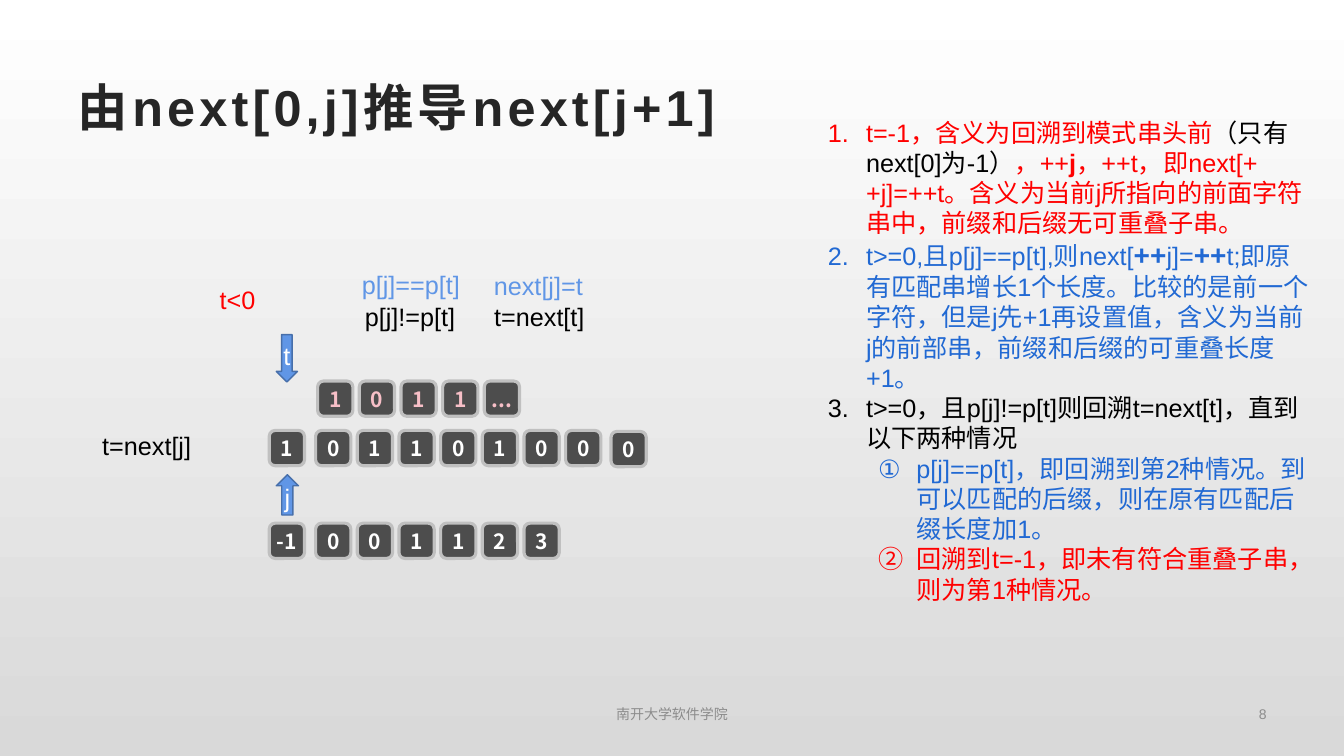
from lxml.etree import SubElement
from pptx import Presentation
from pptx.dml.color import RGBColor
from pptx.enum.shapes import MSO_SHAPE as Preset
from pptx.enum.text import MSO_ANCHOR as Anchor, MSO_AUTO_SIZE as AutoSize, PP_ALIGN as Align
from pptx.oxml.ns import qn
from pptx.util import Inches, Pt

BLACK, WHITE, RED = "000000", "FFFFFF", "FF0000"
LIGHT_BLUE, DEEP_BLUE, PINK, GREY = "6096E6", "2169D3", "F7BFC7", "8C8C8C"
CELL_SIZE, CELL_STEP = 0.35, 2.48 / 6

CASES = [
    ("arabicPeriod", 0, [
        ("t=-1，含义为回溯到模式串头前", RED, 18, False),
        ("（只有next[0]为-1）", BLACK, 18, False),
        ("，++", RED, 18, False),
        ("j", RED, 18, True),
        ("，++t，即next[++j]=++t。含义为当前j所指向的前面字符串中，前缀和后缀无可重叠子串。", RED, 18, False),
    ]),
    ("arabicPeriod", 0, [
        ("t>=0,且p[j]==p[t],则next[", DEEP_BLUE, 18, False),
        ("++", DEEP_BLUE, 20, True),
        ("j]=", DEEP_BLUE, 18, False),
        ("++", DEEP_BLUE, 20, True),
        ("t;即原有匹配串增长1个长度。比较的是前一个字符，但是j先+1再设置值，"
         "含义为当前j的前部串，前缀和后缀的可重叠长度+1。", DEEP_BLUE, 18, False),
    ]),
    ("arabicPeriod", 0, [("t>=0，且p[j]!=p[t]则回溯t=next[t]，直到以下两种情况", BLACK, 18, False)]),
    ("circleNumDbPlain", 1, [
        ("p[j]==p[t]，即回溯到第2种情况。到可以匹配的后缀，则在原有匹配后缀长度加1。", DEEP_BLUE, 18, False)]),
    ("circleNumDbPlain", 1, [("回溯到t=-1，即未有符合重叠子串，则为第1种情况。", RED, 18, False)]),
]


def color(hex_value):
    """Turn a hex string into a colour."""
    return RGBColor.from_string(hex_value)


def style_run(run, hex_value, size, bold=False, font_name="Arial"):
    """Set the font of one run."""
    font = run.font
    font.name, font.size, font.bold = font_name, Pt(size), bold
    font.color.rgb = color(hex_value)


def place(shape, left, top, width, height):
    """Move and size a shape, in inches."""
    shape.left, shape.top = Inches(left), Inches(top)
    shape.width, shape.height = Inches(width), Inches(height)


def set_background(slide):
    """Fill the slide from white down to light grey."""
    fill = slide.background.fill
    fill.gradient()
    fill.gradient_angle = 270
    for stop, position, hex_value in zip(fill.gradient_stops, (0, 1), (WHITE, "D9D9D9")):
        stop.position = position
        stop.color.rgb = color(hex_value)


def set_title(slide, text):
    """Write the spaced, bold title."""
    title = slide.shapes.title
    place(title, 0.67, 0.67, 12, 0.77)
    frame = title.text_frame
    frame.text = text
    frame.vertical_anchor = Anchor.MIDDLE
    frame.auto_size = AutoSize.NONE
    paragraph = frame.paragraphs[0]
    paragraph.alignment = Align.LEFT
    for run in paragraph.runs:
        style_run(run, "262626", 36, True)
        run.font._element.set("spc", "300")


def set_numbering(paragraph, scheme, level):
    """Give a paragraph a hanging automatic number."""
    paragraph.level = level
    properties = paragraph._p.get_or_add_pPr()
    properties.set("marL", str(Inches(0.38 + 0.5 * level)))
    properties.set("indent", str(Inches(-0.38)))
    SubElement(properties, qn("a:buAutoNum"), type=scheme)
    paragraph.space_before = Pt(0)
    paragraph.alignment = Align.LEFT


def add_cases(slide, cases):
    """Write the numbered cases in the body placeholder."""
    body = slide.placeholders[1]
    place(body, 8.11, 1.11, 4.97, 4.98)
    frame = body.text_frame
    frame.auto_size = AutoSize.SHAPE_TO_FIT_TEXT
    for index, (scheme, level, pieces) in enumerate(cases):
        paragraph = frame.add_paragraph() if index else frame.paragraphs[0]
        set_numbering(paragraph, scheme, level)
        for text, hex_value, size, bold in pieces:
            run = paragraph.add_run()
            run.text = text
            style_run(run, hex_value, size, bold)


def add_label(slide, text, box, hex_value, size=18, align=Align.CENTER, wrap=True, anchor=Anchor.TOP):
    """Add a one-line text box."""
    label = slide.shapes.add_textbox(*map(Inches, box))
    frame = label.text_frame
    frame.text = text
    frame.word_wrap = wrap
    frame.vertical_anchor = anchor
    paragraph = frame.paragraphs[0]
    paragraph.alignment = align
    style_run(paragraph.runs[0], hex_value, size)


def add_filled_shape(shapes, preset, box, fill, line, line_width, text):
    """Add a preset shape with centred text."""
    shape = shapes.add_shape(preset, *map(Inches, box))
    shape.shadow.inherit = False
    shape.fill.solid()
    shape.fill.fore_color.rgb = color(fill)
    shape.line.color.rgb = color(line)
    shape.line.width = Pt(line_width)
    frame = shape.text_frame
    frame.text = text
    frame.vertical_anchor = Anchor.MIDDLE
    frame.paragraphs[0].alignment = Align.CENTER
    return shape


def add_cell(shapes, text, left, top, hex_value=WHITE):
    """Add one rounded cell of an array."""
    box = (left, top, CELL_SIZE, CELL_SIZE)
    cell = add_filled_shape(shapes, Preset.ROUNDED_RECTANGLE, box, "4D4D4D", "C0C0C0", 2.25, text)
    frame = cell.text_frame
    frame.word_wrap = False
    frame.margin_left = frame.margin_right = frame.margin_top = frame.margin_bottom = 0
    style_run(frame.paragraphs[0].runs[0], hex_value, 15, True, "Noto Sans CJK SC")


def add_row(shapes, values, left, top, hex_value=WHITE):
    """Add evenly spaced cells."""
    for column, value in enumerate(values):
        add_cell(shapes, value, left + column * CELL_STEP, top, hex_value)


def add_pointer(slide, preset, text, box):
    """Add a blue arrow naming an index."""
    arrow = add_filled_shape(slide.shapes, preset, box, LIGHT_BLUE, "476FAA", 1, text)
    style_run(arrow.text_frame.paragraphs[0].runs[0], WHITE, 18)


def main():
    """Build and save the slide."""
    presentation = Presentation()
    presentation.slide_width, presentation.slide_height = Inches(13.33), Inches(7.5)
    slide = presentation.slides.add_slide(presentation.slide_layouts[1])
    set_background(slide)
    set_title(slide, "由next[0,j]推导next[j+1]")

    for first, rest, top in (("1", "0110100", 4.27), ("-1", "001123", 5.19)):
        add_row(slide.shapes, rest, 3.13, top)
        add_cell(slide.shapes, first, 2.67, top)
    add_cell(slide.shapes, "0", 6.06, 4.28)
    add_pointer(slide, Preset.UP_ARROW, "j", (2.74, 4.71, 0.22, 0.4))
    add_pointer(slide, Preset.DOWN_ARROW, "t", (2.74, 3.32, 0.21, 0.47))
    prefix = slide.shapes.add_group_shape()
    add_row(prefix.shapes, ["1", "0", "1", "1", "..."], 3.15, 3.78, PINK)

    add_cases(slide, CASES)
    add_label(slide, "t=next[j]", (0.74, 4.22, 1.43, 0.4), BLACK)
    add_label(slide, "t<0", (1.96, 2.77, 0.79, 0.4), RED)
    add_label(slide, "t=next[t]", (4.73, 2.94, 1.24, 0.4), BLACK)
    for text, box, hex_value in (
        ("p[j]==p[t]", (3.49, 2.62, 1.17, 0.4), LIGHT_BLUE),
        ("p[j]!=p[t]", (3.52, 2.94, 1.1, 0.4), BLACK),
        ("next[j]=t", (4.8, 2.63, 1.08, 0.4), LIGHT_BLUE),
    ):
        add_label(slide, text, box, hex_value, align=Align.LEFT, wrap=False)
    add_label(slide, "8", (9.71, 6.91, 2.95, 0.35), GREY, 10, Align.RIGHT, anchor=Anchor.MIDDLE)
    add_label(slide, "南开大学软件学院", (4.5, 6.91, 4.33, 0.35), GREY, 10, anchor=Anchor.MIDDLE)
    presentation.save("out.pptx")


if __name__ == "__main__":
    main()
